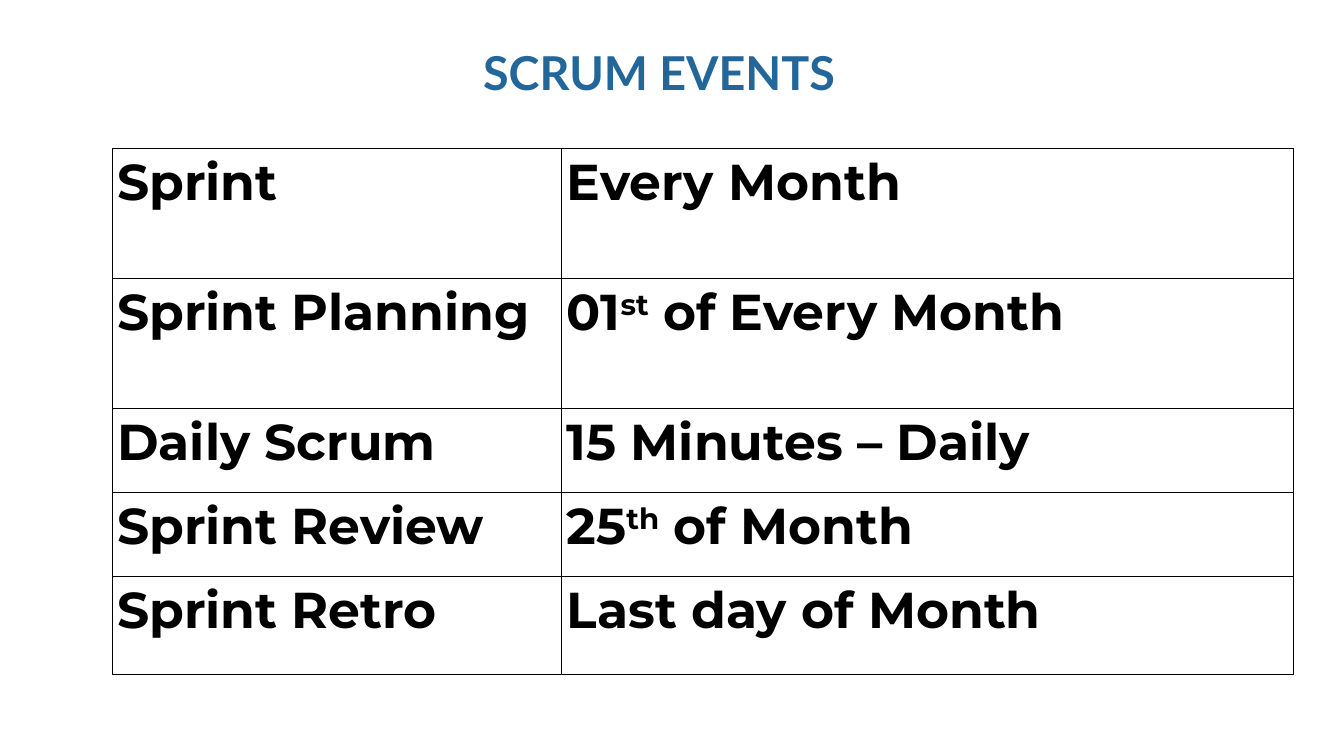
import pptx
import pptx.dml.color
import pptx.enum.text
import pptx.oxml.ns
import pptx.util
from lxml import etree

Pt = pptx.util.Pt
RGBColor = pptx.dml.color.RGBColor

BLUE = RGBColor(0x23, 0x66, 0x99)
BLACK = RGBColor(0, 0, 0)
WHITE = RGBColor(0xFF, 0xFF, 0xFF)

TITLE = "SCRUM EVENTS"
# Each cell is a list of text pieces; every second piece is superscript.
EVENTS = [
    (["Sprint"], ["Every Month"]),
    (["Sprint Planning"], ["01", "st", " of Every Month"]),
    (["Daily Scrum"], ["15 Minutes – Daily"]),
    (["Sprint Review"], ["25", "th", " of Month"]),
    (["Sprint Retro"], ["Last day of Month"]),
]
COLUMN_WIDTHS = [481.7, 784.1]
ROW_HEIGHTS = [139, 139, 90, 90, 106]
TABLE_LEFT, TABLE_TOP = 120.2, 159.1


def write_text(text_frame, pieces, font_name, size, color):
    """Write the pieces as one bold paragraph, raising every second piece."""
    paragraph = text_frame.paragraphs[0]
    paragraph.alignment = pptx.enum.text.PP_ALIGN.LEFT
    for index, piece in enumerate(pieces):
        run = paragraph.add_run()
        run.text = piece
        run.font.name = font_name
        run.font.size = Pt(size)
        run.font.bold = True
        run.font.color.rgb = color
        if index % 2:
            run.font._element.set("baseline", "30000")


def add_borders(cell, color, width):
    properties = cell._tc.get_or_add_tcPr()
    qn = pptx.oxml.ns.qn
    for side in ("a:lnL", "a:lnR", "a:lnT", "a:lnB"):
        line = etree.SubElement(properties, qn(side), w=str(Pt(width)))
        fill = etree.SubElement(line, qn("a:solidFill"))
        etree.SubElement(fill, qn("a:srgbClr"), val=str(color))


def add_title(slide):
    text_frame = slide.shapes.add_textbox(
        Pt(517.7), Pt(46.8), Pt(405.4), Pt(60.5)).text_frame
    text_frame.word_wrap = True
    text_frame.margin_left = text_frame.margin_right = 0
    text_frame.margin_top = text_frame.margin_bottom = 0
    write_text(text_frame, [TITLE], font_name="Lato", size=50, color=BLUE)


def add_events_table(slide):
    table = slide.shapes.add_table(
        len(EVENTS), len(COLUMN_WIDTHS), Pt(TABLE_LEFT), Pt(TABLE_TOP),
        Pt(sum(COLUMN_WIDTHS)), Pt(sum(ROW_HEIGHTS))).table
    table.first_row = table.horz_banding = False
    for column, width in zip(table.columns, COLUMN_WIDTHS):
        column.width = Pt(width)
    for row, height, event in zip(table.rows, ROW_HEIGHTS, EVENTS):
        row.height = Pt(height)
        for cell, pieces in zip(row.cells, event):
            cell.margin_left = cell.margin_right = Pt(5.4)
            cell.margin_top = cell.margin_bottom = Pt(3.6)
            add_borders(cell, color=BLACK, width=1)
            cell.fill.solid()
            cell.fill.fore_color.rgb = WHITE
            write_text(cell.text_frame, pieces,
                       font_name="Montserrat", size=54, color=BLACK)


def main():
    presentation = pptx.Presentation()
    presentation.slide_width = Pt(1440)
    presentation.slide_height = Pt(810)
    slide = presentation.slides.add_slide(presentation.slide_layouts[6])
    add_events_table(slide)
    add_title(slide)
    presentation.save("out.pptx")


if __name__ == "__main__":
    main()
